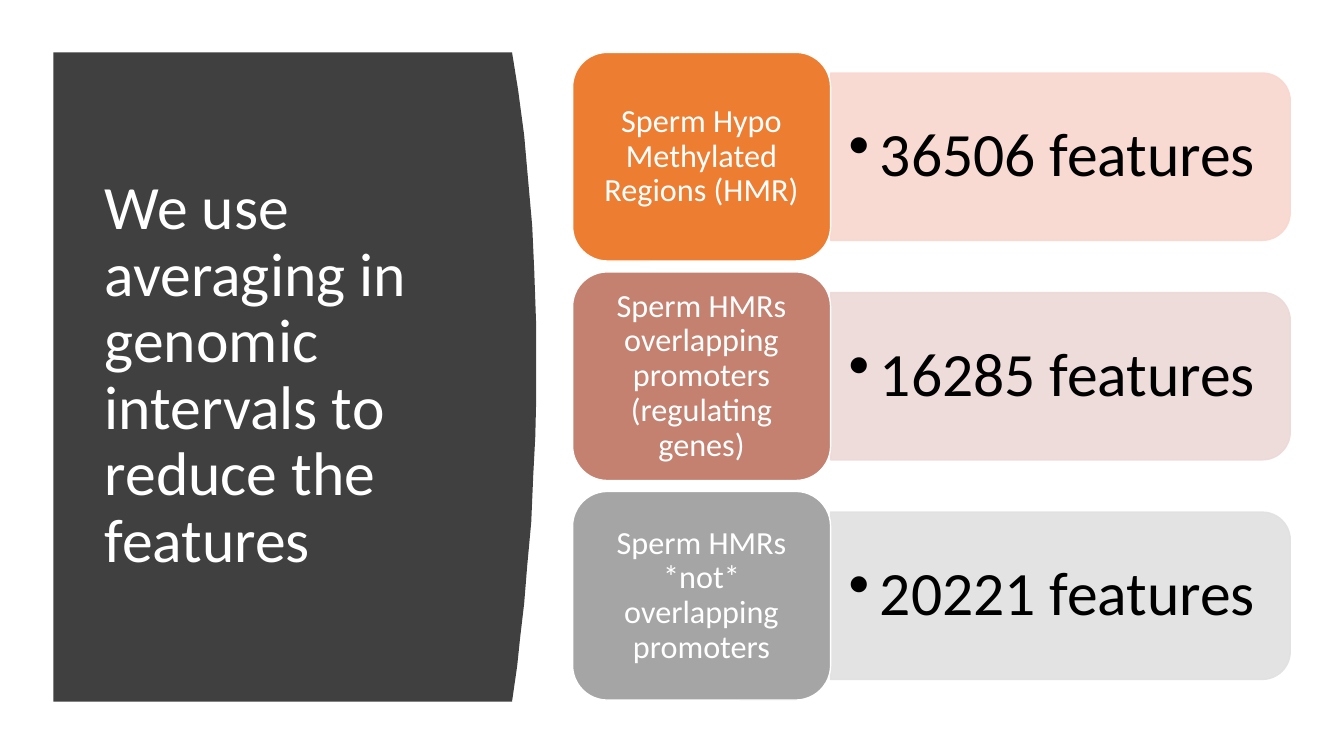
from pptx import Presentation
from pptx.dml.color import RGBColor
from pptx.enum.shapes import MSO_SHAPE
from pptx.enum.text import MSO_ANCHOR, MSO_AUTO_SIZE, PP_ALIGN
from pptx.oxml.ns import qn
from pptx.util import Inches, Pt
from lxml import etree

ROUNDED = MSO_SHAPE.ROUNDED_RECTANGLE
ROUNDED_TOP = MSO_SHAPE.ROUND_2_SAME_RECTANGLE
MIDDLE = MSO_ANCHOR.MIDDLE
NO_FIT = MSO_AUTO_SIZE.NONE
LEFT, CENTER = PP_ALIGN.LEFT, PP_ALIGN.CENTER

WHITE = RGBColor(0xFF, 0xFF, 0xFF)
BLACK = RGBColor(0x00, 0x00, 0x00)
CHARCOAL = RGBColor(0x40, 0x40, 0x40)
ORANGE = RGBColor(0xED, 0x7D, 0x31)
PEACH = RGBColor(0xF8, 0xD7, 0xCE)
CLAY = RGBColor(0xC4, 0x81, 0x70)
ROSE = RGBColor(0xED, 0xD9, 0xD7)
GRAY = RGBColor(0xA5, 0xA5, 0xA5)
SILVER = RGBColor(0xE1, 0xE1, 0xE1)

# All places and sizes are percentages of the slide's width and height.
PANEL_LEFT = 3.98
PANEL_CURVE = [
    (38.1, 6.93), (38.55, 11.87), (39, 17.87), (39.3, 23.87), (39.6, 29.87),
    (39.75, 35.73), (39.9, 43.33), (39.9, 52.53), (39.83, 57.73),
    (39.68, 62.8), (39.53, 69.07), (39.23, 74.8), (39, 79.87),
    (38.7, 84.4), (38.48, 88.13), (38.1, 92.8),
]
LABEL_LEFT, LABEL_WIDTH, LABEL_HEIGHT = 42.6, 19.2, 27.6
BAR_LEFT, BAR_WIDTH, BAR_HEIGHT = 61.8, 34.2, 22.13
COUNT_WIDTH, COUNT_HEIGHT = 33.6, 20
FIRST_ROW, ROW_STEP = 6.93, 29.04

ROWS = [
    ("Sperm Hypo Methylated Regions (HMR)", "36506 features", ORANGE, PEACH),
    ("Sperm HMRs overlapping promoters (regulating genes)", "16285 features",
     CLAY, ROSE),
    ("Sperm HMRs *not* overlapping promoters", "20221 features",
     GRAY, SILVER),
]


class Page:
    font = "Calibri"
    large, small = Pt(44), Pt(23)
    opacity = "90000"

    def __init__(self, deck):
        self.width, self.height = deck.slide_width, deck.slide_height
        self.slide = deck.slides.add_slide(deck.slide_layouts[5])
        self.shapes = self.slide.shapes

    def across(self, share):
        return round(self.width * share / 100)

    def down(self, share):
        return round(self.height * share / 100)

    def place(self, left, top, width, height):
        return (self.across(left), self.down(top),
                self.across(width), self.down(height))

    def set_text(self, box, text, size, color, align, insets):
        """Fill a box with one paragraph; insets are (side, top and bottom)."""
        frame = box.text_frame
        frame.word_wrap = True
        frame.auto_size = NO_FIT
        frame.vertical_anchor = MIDDLE
        frame.margin_left = frame.margin_right = Inches(insets[0])
        frame.margin_top = frame.margin_bottom = Inches(insets[1])
        para = frame.paragraphs[0]
        para.alignment = align
        para.line_spacing = 0.9
        span = para.add_run()
        span.text = text
        span.font.name = self.font
        span.font.size = size
        span.font.color.rgb = color
        return para

    def paint(self, shape, fill, line=None):
        shape.shadow.inherit = False
        shape.fill.solid()
        shape.fill.fore_color.rgb = fill
        if line is None:
            shape.line.fill.background()
        else:
            shape.line.color.rgb = line
            shape.line.width = Pt(1)

    def panel(self, left, curve, color):
        points = [(self.across(x), self.down(y)) for x, y in curve]
        edge = self.across(left)
        outline = self.shapes.build_freeform(edge, points[0][1])
        outline.add_line_segments(points + [(edge, points[-1][1])], close=True)
        shape = outline.convert_to_shape()
        self.paint(shape, color)
        # The title placeholder comes first, so the panel goes behind it.
        self.shapes.title._element.addprevious(shape._element)

    def title(self, text, *area):
        box = self.shapes.title
        box.left, box.top, box.width, box.height = self.place(*area)
        self.set_text(box, text, self.large, WHITE, LEFT, (0.1, 0.05))

    def bar(self, left, middle, width, height, color):
        """Draw a bar with round right corners, as a shape turned by 90°."""
        long, thick = self.across(width), self.down(height)
        shape = self.shapes.add_shape(
            ROUNDED_TOP, self.across(left) + (long - thick) // 2,
            self.down(middle) - long // 2, thick, long)
        shape.rotation = 90
        self.paint(shape, color, color)
        for tint in shape._element.spPr.iter(qn("a:srgbClr")):
            etree.SubElement(tint, qn("a:alpha"), val=self.opacity)

    def count(self, text, *area):
        box = self.shapes.add_textbox(*self.place(*area))
        para = self.set_text(box, text, self.large, BLACK, LEFT, (0.18, 0.09))
        para.space_after = Pt(6.6)
        settings = para._p.get_or_add_pPr()
        settings.set("marL", str(Inches(0.31)))
        settings.set("indent", str(-Inches(0.31)))
        etree.SubElement(settings, qn("a:buChar"), char="•")

    def label(self, text, color, *area):
        shape = self.shapes.add_shape(ROUNDED, *self.place(*area))
        self.paint(shape, color, WHITE)
        para = self.set_text(shape, text, self.small, WHITE, CENTER,
                             (0.1, 0.05))
        para.space_after = Pt(8)


def main():
    deck = Presentation()
    deck.slide_width, deck.slide_height = Inches(13.33), Inches(7.5)
    page = Page(deck)
    page.panel(PANEL_LEFT, PANEL_CURVE, CHARCOAL)
    page.title("We use averaging in genomic intervals to reduce the features",
               7.05, 14.8, 28.05, 69.87)
    for row, (label, count, strong, pale) in enumerate(ROWS):
        top = FIRST_ROW + row * ROW_STEP
        middle = top + LABEL_HEIGHT / 2
        page.bar(BAR_LEFT, middle, BAR_WIDTH, BAR_HEIGHT, pale)
        page.count(count, BAR_LEFT, middle - COUNT_HEIGHT / 2,
                   COUNT_WIDTH, COUNT_HEIGHT)
        page.label(label, strong, LABEL_LEFT, top, LABEL_WIDTH, LABEL_HEIGHT)
    deck.save("out.pptx")


if __name__ == "__main__":
    main()
